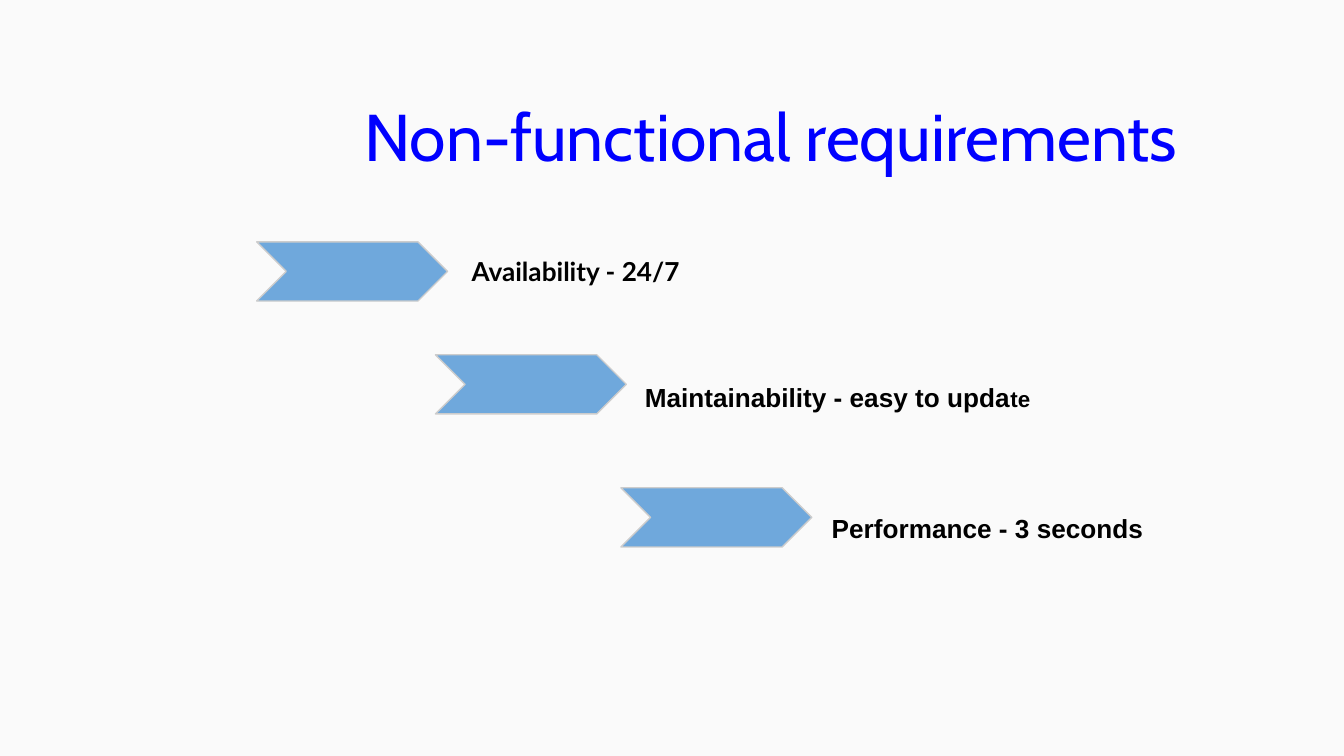
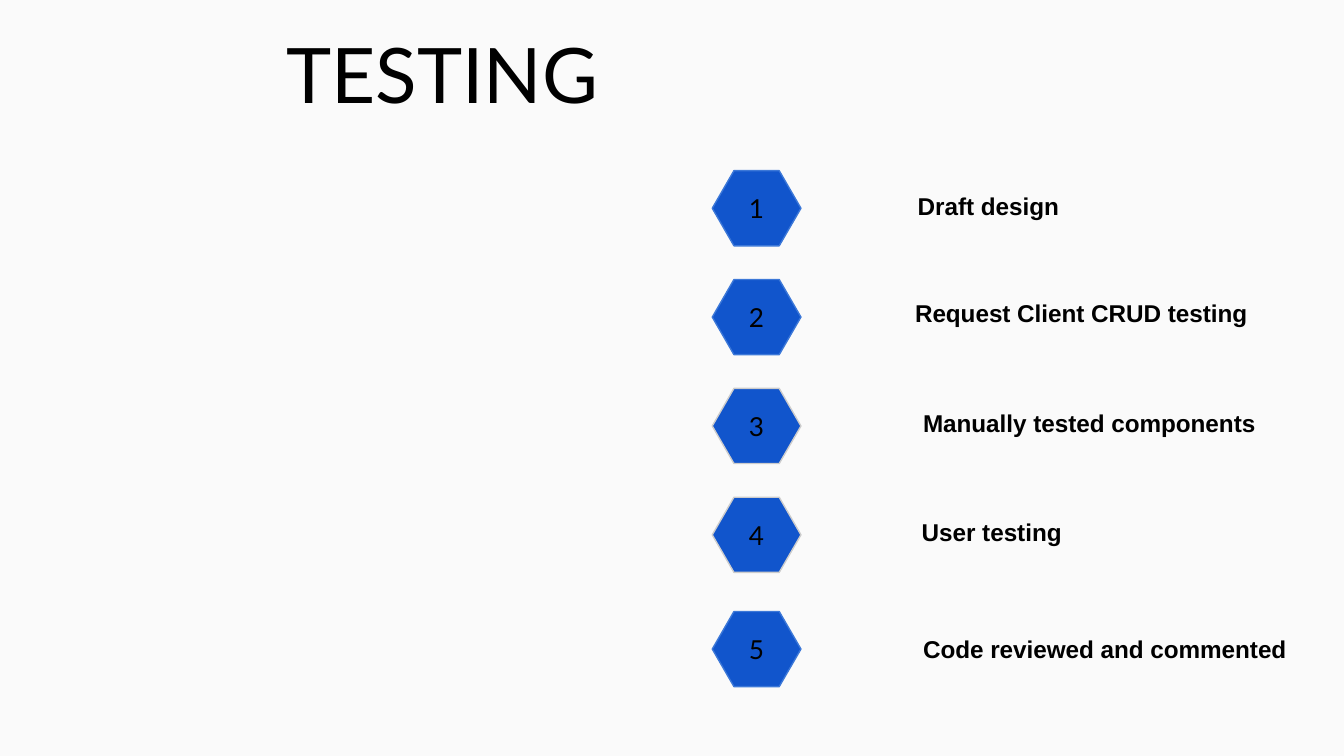
from pptx import Presentation
from pptx.dml.color import RGBColor
from pptx.enum.shapes import MSO_SHAPE
from pptx.enum.text import MSO_ANCHOR, MSO_AUTO_SIZE, PP_ALIGN
from pptx.util import Inches, Pt

COLORS = {
    "back": "FAFAFA", "ink": "000000", "title": "0000FF", "arrow": "6FA8DC",
    "badge": "1155CC", "edge": "3C78D8", "pale": "CCCCCC",
}
WIDE = Inches(10)
HIGH = WIDE * 9 // 16
COLS = 100
CELL = WIDE // COLS
FRAME = {"word_wrap": True, "auto_size": MSO_AUTO_SIZE.NONE}
LABEL = {"name": "Arial", "size": Pt(14), "bold": True}
SMALL = {**LABEL, "size": Pt(12)}
ITEM = {**LABEL, "size": Pt(13)}
LATO = {**LABEL, "name": "Lato"}
DIGIT = {"name": "Lato", "size": Pt(14), "bold": False}
HEAD = {"name": "Cabin", "size": Pt(35.4), "bold": False}
BIG = {"name": "Lato", "size": Pt(41), "bold": False}


def tone(key):
    return RGBColor.from_string(COLORS[key])


def apply(target, values):
    for key, value in values.items():
        setattr(target, key, value)


def grid(*cells):
    return [round(cell * CELL) for cell in cells]


def write(shape, runs, color="ink", align=PP_ALIGN.LEFT, anchor=MSO_ANCHOR.TOP,
          space=1.0, inset=1):
    frame = shape.text_frame
    side, edge = grid(1, inset)
    apply(frame, {**FRAME, "vertical_anchor": anchor, "margin_left": side,
                  "margin_right": side, "margin_top": edge, "margin_bottom": edge})
    line = frame.paragraphs[0]
    apply(line, {"alignment": align, "line_spacing": space})
    for text, style in runs:
        run = line.add_run()
        run.text = text
        apply(run.font, style)
        run.font.color.rgb = tone(color)


def title(slide, box, text, style, **format):
    shape = slide.shapes.title
    apply(shape, dict(zip(("left", "top", "width", "height"), grid(*box))))
    write(shape, [(text, style)], **format)


def label(slide, left, top, height, runs, space=1.0):
    box = slide.shapes.add_textbox(*grid(left, top, COLS - left, height))
    write(box, runs, space=space)


def block(slide, kind, box, fill, edge):
    shape = slide.shapes.add_shape(kind, *grid(*box))
    shape.shadow.inherit = False
    shape.fill.solid()
    shape.fill.fore_color.rgb = tone(fill)
    shape.line.color.rgb = tone(edge)
    shape.line.width = Pt(0.75)
    return shape


def stairs(slide, box, steps):
    left, top, wide, high = box
    for shift, drop, gap, sink, runs, space in steps:
        x = left + shift
        y = top + drop
        arrow = block(slide, MSO_SHAPE.CHEVRON, (x, y, wide, high), "arrow", "pale")
        arrow.adjustments[0] = 0.5
        label(slide, x + wide + gap, y + sink, high, runs, space)


def roster(slide, box, items):
    left, top, wide, high = box
    for index, (text, x, sink, edge, drop) in enumerate(items):
        y = top + 8.1 * index + drop
        badge = block(slide, MSO_SHAPE.HEXAGON, (left, y, wide, high), "badge", edge)
        badge.adjustments[0] = 0.289
        write(badge, [(str(index + 1), DIGIT)], align=PP_ALIGN.CENTER,
              anchor=MSO_ANCHOR.MIDDLE)
        label(slide, left + x, y + sink, 4.2, [(text, ITEM)])


def needs(slide):
    title(slide, (26.1, 7, 63.4, 6.5), "Non-functional requirements", HEAD,
          color="title", anchor=MSO_ANCHOR.BOTTOM, space=0.8, inset=0.5)
    stairs(slide, (19.1, 18, 14.2, 4.4), [
        (0, 0, 0.8, 0, [("Availability - 24/7", LATO)], 1.0),
        (13.3, 8.4, 0.4, 0.6,
         [("Maintainability - easy to upda", LABEL), ("te", SMALL)], 1.15),
        (27.1, 18.3, 0.5, 0.5, [("Performance - 3 seconds", LABEL)], 1.15),
    ])


def tests(slide):
    title(slide, (20.3, 1, 49, 8.9), "TESTING", BIG)
    roster(slide, (53, 12.7, 6.6, 5.6), [
        ("Draft design", 14.3, 0.5, "edge", 0),
        ("Request Client CRUD testing", 14.1, 0.4, "edge", 0),
        ("Manually tested components", 14.7, 0.5, "pale", 0),
        ("User testing", 14.6, 0.5, "pale", 0),
        ("Code reviewed and commented", 14.7, 0.7, "edge", 0.4),
    ])


def main():
    deck = Presentation()
    apply(deck, {"slide_width": WIDE, "slide_height": HIGH})
    back = deck.slide_master.background.fill
    back.solid()
    back.fore_color.rgb = tone("back")
    for build in (needs, tests):
        build(deck.slides.add_slide(deck.slide_layouts[5]))
    deck.save("out.pptx")


if __name__ == "__main__":
    main()
